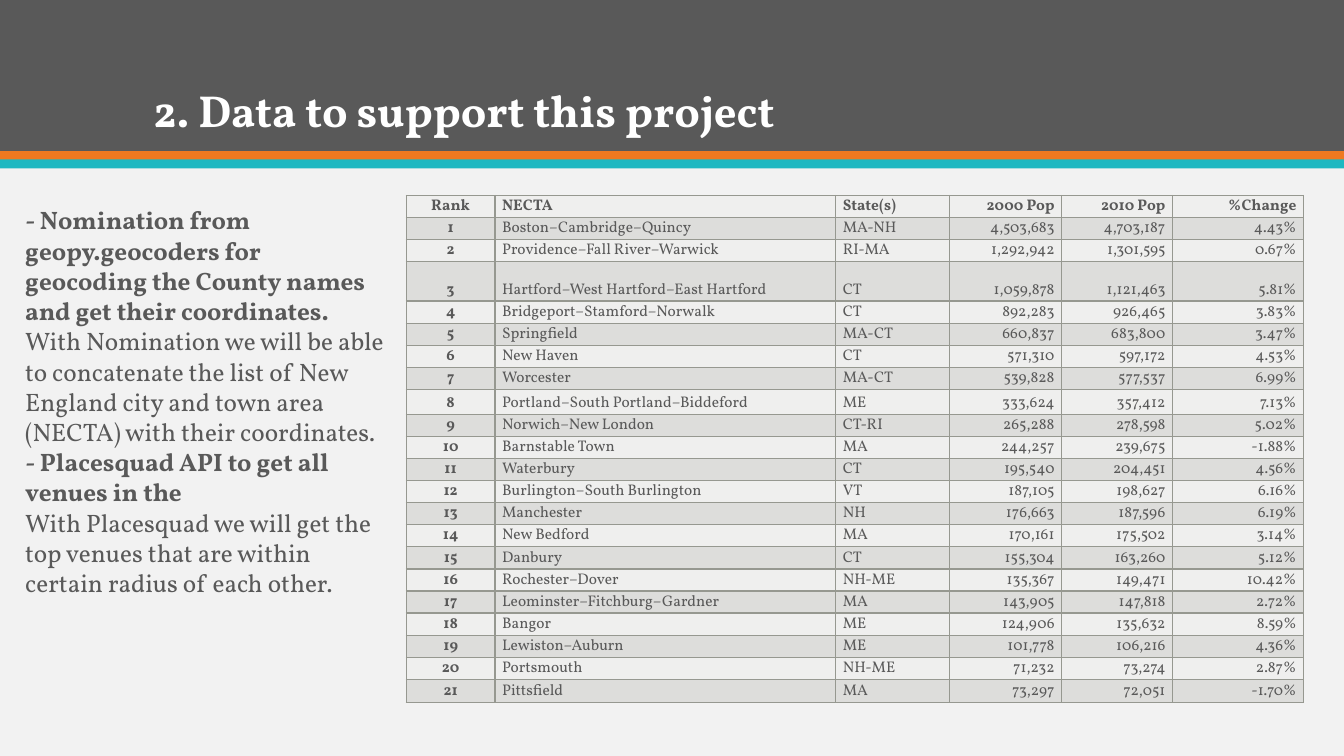
from lxml import etree
from pptx import Presentation, util as u
from pptx.dml.color import RGBColor
from pptx.enum import shapes, text
from pptx.oxml.ns import qn

COLORS = {
    "page": "F2F2F2", "ink": "595959", "white": "FFFFFF",
    "orange": "EF7920", "teal": "1EB8C1",
    "light_row": "EFEFEE", "dark_row": "DDDDDB", "grid": "969890",
}
FONT = "Vollkorn"
SLIDE_WIDTH, SLIDE_HEIGHT = 13.33, 7.5
LEFT, CENTER, RIGHT = text.PP_ALIGN.LEFT, text.PP_ALIGN.CENTER, text.PP_ALIGN.RIGHT

HEADERS = ["Rank", "NECTA", "State(s)", "2000 Pop", "2010 Pop", "%Change"]
COLUMN_WIDTHS = [0.88, 3.38, 1.13, 1.11, 1.1, 1.3]
COLUMN_ALIGNMENTS = [CENTER, LEFT, LEFT, RIGHT, RIGHT, RIGHT]
TALL_ROWS = {3: 0.39, 8: 0.25, 21: 0.23}
AREAS = [
    ("Boston–Cambridge–Quincy", "MA-NH", "4,503,683", "4,703,187", "4.43%"),
    ("Providence–Fall River–Warwick", "RI-MA", "1,292,942", "1,301,595", "0.67%"),
    ("Hartford–West Hartford–East Hartford", "CT", "1,059,878", "1,121,463", "5.81%"),
    ("Bridgeport–Stamford–Norwalk", "CT", "892,283", "926,465", "3.83%"),
    ("Springfield", "MA-CT", "660,837", "683,800", "3.47%"),
    ("New Haven", "CT", "571,310", "597,172", "4.53%"),
    ("Worcester", "MA-CT", "539,828", "577,537", "6.99%"),
    ("Portland–South Portland–Biddeford", "ME", "333,624", "357,412", "7.13%"),
    ("Norwich–New London", "CT-RI", "265,288", "278,598", "5.02%"),
    ("Barnstable Town", "MA", "244,257", "239,675", "-1.88%"),
    ("Waterbury", "CT", "195,540", "204,451", "4.56%"),
    ("Burlington–South Burlington", "VT", "187,105", "198,627", "6.16%"),
    ("Manchester", "NH", "176,663", "187,596", "6.19%"),
    ("New Bedford", "MA", "170,161", "175,502", "3.14%"),
    ("Danbury", "CT", "155,304", "163,260", "5.12%"),
    ("Rochester–Dover", "NH-ME", "135,367", "149,471", "10.42%"),
    ("Leominster–Fitchburg–Gardner", "MA", "143,905", "147,818", "2.72%"),
    ("Bangor", "ME", "124,906", "135,632", "8.59%"),
    ("Lewiston–Auburn", "ME", "101,778", "106,216", "4.36%"),
    ("Portsmouth", "NH-ME", "71,232", "73,274", "2.87%"),
    ("Pittsfield", "MA", "73,297", "72,051", "-1.70%"),
]

SOURCES = [
    ("- Nomination from geopy.geocoders for geocoding the County names and get their coordinates.",
     "With Nomination we will be able to concatenate the list of New England city and town area "
     "(NECTA) with their coordinates."),
    ("- Placesquad API to get all venues in the",
     "With Placesquad we will get the top venues that are within certain radius of each other."),
]


def paint(fill, color):
    """Give a fill one solid palette colour."""
    fill.solid()
    fill.fore_color.rgb = RGBColor.from_string(COLORS[color])


def write(paragraph, content, size=18, color="ink", bold=False, align=LEFT, spacing=1.0):
    """Write one formatted run into a paragraph."""
    paragraph.alignment = align
    paragraph.line_spacing = spacing
    paragraph.space_before = u.Pt(0)
    run = paragraph.add_run()
    run.text = content
    run.font.name = FONT
    run.font.size = u.Pt(size)
    run.font.bold = bold
    run.font.color.rgb = RGBColor.from_string(COLORS[color])


def place(part, box):
    """Move a part to a box given in inches."""
    part.left, part.top, part.width, part.height = (u.Inches(length) for length in box)


def add_bands(slide, box):
    """Put the header band and its two stripes on the master."""
    left, top, width, height = box
    stripe = 0.09
    master_tree = slide.slide_layout.slide_master.shapes.element
    bands = [("ink", top, height), ("orange", top + height, stripe),
             ("teal", top + height + stripe - 0.01, stripe)]
    for position, (color, band_top, band_height) in enumerate(bands):
        band = slide.shapes.add_shape(
            shapes.MSO_SHAPE.RECTANGLE, u.Inches(left), u.Inches(band_top),
            u.Inches(width), u.Inches(band_height))
        band.shadow.inherit = False
        paint(band.fill, color)
        band.line.fill.background()
        master_tree.insert(2 + position, band.element)


def fill_title(title, box):
    """Place and write the slide title."""
    place(title, box)
    frame = title.text_frame
    frame.auto_size = text.MSO_AUTO_SIZE.NONE
    frame.vertical_anchor = text.MSO_ANCHOR.BOTTOM
    write(frame.paragraphs[0], "2. Data to support this project",
          size=32, color="white", bold=True, spacing=0.9)


def fill_sources(body, box):
    """Place the body and write each data source with its explanation."""
    place(body, box)
    frame = body.text_frame
    frame.auto_size = text.MSO_AUTO_SIZE.NONE
    frame.vertical_anchor = text.MSO_ANCHOR.TOP
    lines = [(line, line is source[0]) for source in SOURCES for line in source]
    for number, (line, is_heading) in enumerate(lines):
        paragraph = frame.add_paragraph() if number else frame.paragraphs[0]
        write(paragraph, line, bold=is_heading)
        properties = paragraph._p.get_or_add_pPr()
        properties.set("marL", "0")
        properties.set("indent", "0")
        etree.SubElement(properties, qn("a:buNone"))


def add_cell_borders(cell):
    """Draw a one-point line on all four sides of a cell."""
    properties = cell._tc.get_or_add_tcPr()
    for side in ("lnL", "lnR", "lnT", "lnB"):
        line = etree.SubElement(properties, qn(f"a:{side}"), w=str(u.Pt(1)))
        solid = etree.SubElement(line, qn("a:solidFill"))
        etree.SubElement(solid, qn("a:srgbClr"), val=COLORS["grid"])


def add_population_table(slide, box):
    """Add the ranked table of town areas and their populations."""
    rows = [HEADERS] + [[str(rank), *area] for rank, area in enumerate(AREAS, 1)]
    frame = slide.shapes.add_table(len(rows), len(HEADERS), *(u.Inches(length) for length in box))
    table = frame.table
    table.first_row = table.horz_banding = False
    for column, width in zip(table.columns, COLUMN_WIDTHS):
        column.width = u.Inches(width)
    row_height = (box[3] - sum(TALL_ROWS.values())) / (len(rows) - len(TALL_ROWS))
    for row_number, values in enumerate(rows):
        table.rows[row_number].height = u.Inches(TALL_ROWS.get(row_number, row_height))
        for column_number, value in enumerate(values):
            cell = table.cell(row_number, column_number)
            cell.margin_left = cell.margin_right = u.Inches(0.07)
            cell.margin_top = cell.margin_bottom = 0
            cell.vertical_anchor = text.MSO_ANCHOR.BOTTOM
            add_cell_borders(cell)
            paint(cell.fill, "dark_row" if row_number % 2 else "light_row")
            write(cell.text_frame.paragraphs[0], value, size=11,
                  bold=row_number == 0 or column_number == 0,
                  align=COLUMN_ALIGNMENTS[column_number])


def main():
    """Build the slide and save it."""
    deck = Presentation()
    deck.slide_width, deck.slide_height = u.Inches(SLIDE_WIDTH), u.Inches(SLIDE_HEIGHT)
    slide = deck.slides.add_slide(deck.slide_layouts[1])
    paint(deck.slide_master.background.fill, "page")
    add_bands(slide, (0, 0, SLIDE_WIDTH, SLIDE_HEIGHT / 5))
    add_population_table(slide, (4.03, 1.94, sum(COLUMN_WIDTHS), 5.03))
    fill_title(slide.shapes.title, (1.42, 0.28, 10.5, 1.13))
    fill_sources(slide.placeholders[1], (0.15, 1.98, 3.78, 4.64))
    deck.save("out.pptx")


if __name__ == "__main__":
    main()
